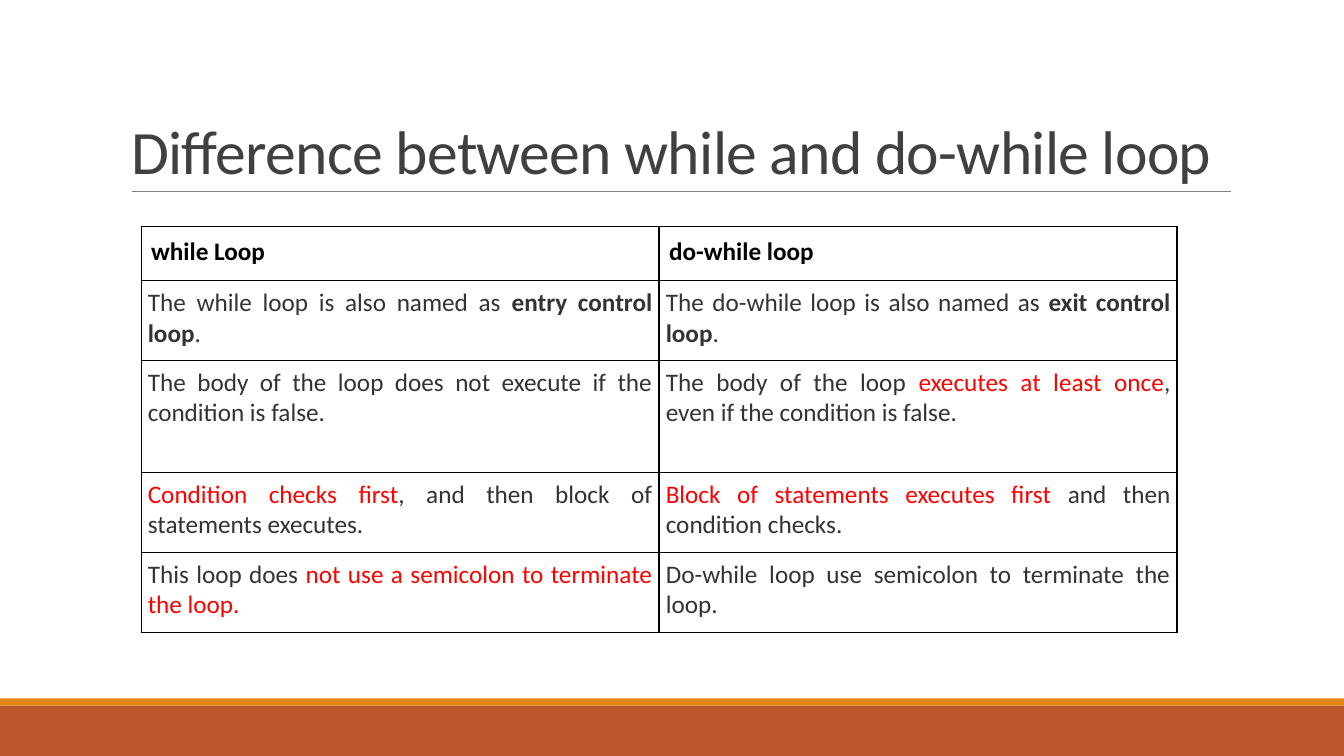
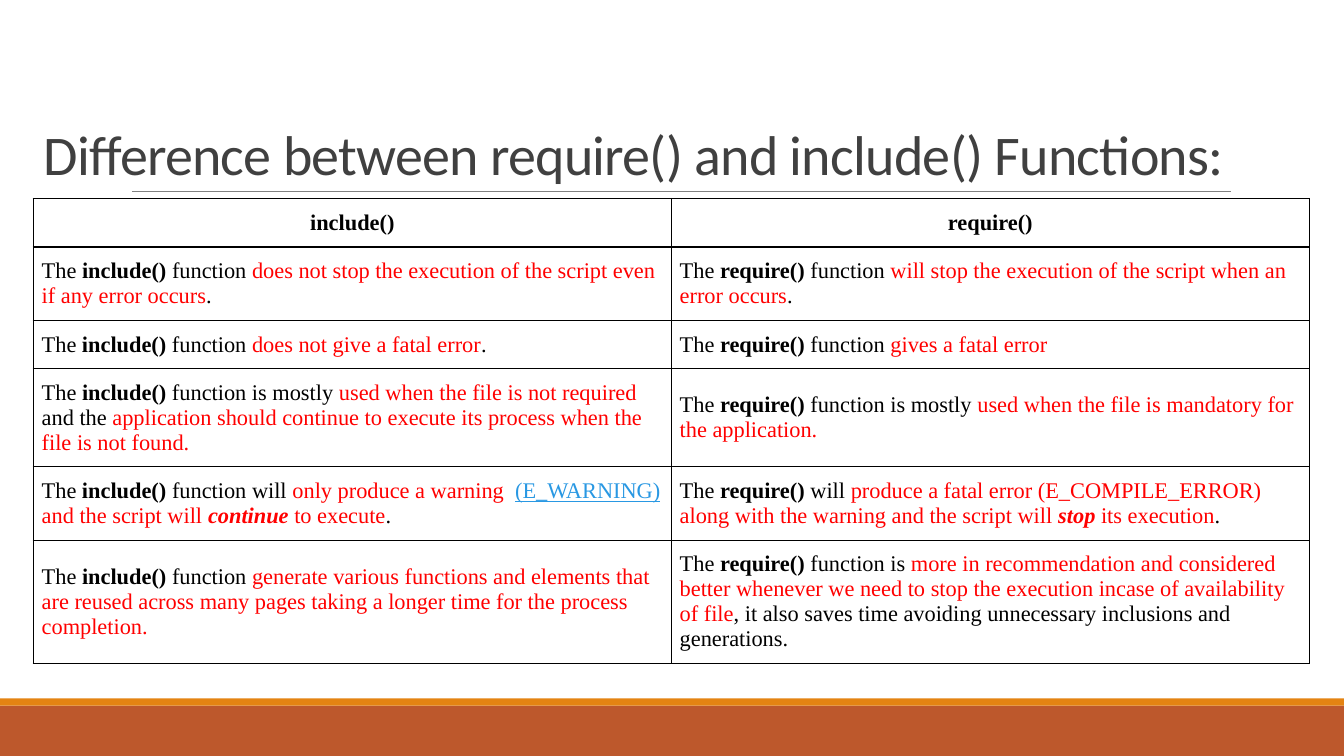
"""Build two slides that compare loop kinds and file inclusion functions."""
from dataclasses import dataclass

from lxml import etree
from pptx import Presentation
from pptx.dml.color import RGBColor
from pptx.enum.shapes import MSO_CONNECTOR, MSO_SHAPE
from pptx.enum.text import MSO_ANCHOR, MSO_AUTO_SIZE, PP_ALIGN
from pptx.oxml.ns import qn
from pptx.slide import Slide
from pptx.table import _Cell
from pptx.util import Pt

LEFT, CENTER, JUSTIFY = PP_ALIGN.LEFT, PP_ALIGN.CENTER, PP_ALIGN.JUSTIFY
TOP, MIDDLE, BOTTOM = MSO_ANCHOR.TOP, MSO_ANCHOR.MIDDLE, MSO_ANCHOR.BOTTOM
NO_AUTOFIT = MSO_AUTO_SIZE.NONE
RECTANGLE = MSO_SHAPE.RECTANGLE
STRAIGHT = MSO_CONNECTOR.STRAIGHT

BLACK = RGBColor(0x00, 0x00, 0x00)
CHARCOAL = RGBColor(0x33, 0x33, 0x33)
TITLE_GRAY = RGBColor(0x40, 0x40, 0x40)
RULE_GRAY = RGBColor(0x80, 0x80, 0x80)
RED = RGBColor(0xFF, 0x00, 0x00)
LINK_BLUE = RGBColor(0x29, 0x98, 0xE3)
RUST = RGBColor(0xBD, 0x58, 0x2C)
ORANGE = RGBColor(0xE4, 0x83, 0x12)

SLIDE_WIDTH, SLIDE_HEIGHT = 960, 540
TITLE_FONT = "Calibri"
TITLE_TOP, TITLE_HEIGHT = 22.5, 114.5
RULE_LEFT, RULE_RIGHT, RULE_TOP = 94.3, 879, 136.8


@dataclass(frozen=True)
class Band:
    """A full-width footer band."""

    top: float
    height: float
    color: RGBColor


@dataclass(frozen=True)
class Span:
    """A piece of cell text with its own emphasis."""

    text: str
    color: RGBColor | None = None
    bold: bool = False
    italic: bool = False
    underline: bool = False


@dataclass(frozen=True)
class CellStyle:
    """The look shared by a group of table cells."""

    font: str
    size: float
    color: RGBColor
    align: PP_ALIGN
    anchor: MSO_ANCHOR
    margin_x: float
    margin_y: float
    bold: bool = False


Content = tuple[Span, ...]


@dataclass(frozen=True)
class Comparison:
    """A titled slide with a two-column comparison table."""

    title: str
    title_size: float
    title_left: float
    title_width: float
    left: float
    top: float
    column_width: float
    row_heights: tuple[float, ...]
    header_style: CellStyle
    body_style: CellStyle
    headers: tuple[str, str]
    rows: tuple[tuple[Content, Content], ...]


def plain(text: str) -> Span:
    """Return text in the cell's own colour."""
    return Span(text)


def bold(text: str) -> Span:
    """Return bold text in the cell's own colour."""
    return Span(text, bold=True)


def red(text: str) -> Span:
    """Return highlighted text."""
    return Span(text, RED)


def stressed(text: str) -> Span:
    """Return highlighted bold italic text."""
    return Span(text, RED, bold=True, italic=True)


BANDS = (Band(504, 36, RUST), Band(498.9, 5.1, ORANGE))

LOOPS = Comparison(
    title="Difference between while and do-while loop",
    title_size=44,
    title_left=86.4,
    title_width=792,
    left=100.8,
    top=161.8,
    column_width=370,
    row_heights=(38.6, 57.1, 80, 57.1, 57.1),
    header_style=CellStyle("Calibri", 18, BLACK, LEFT, TOP, 7.2, 7.2, bold=True),
    body_style=CellStyle("Calibri", 18, CHARCOAL, JUSTIFY, TOP, 4.8, 4.8),
    headers=("while Loop", "do-while loop"),
    rows=(
        (
            (plain("The while loop is also named as "), bold("entry control loop"), plain(".")),
            (plain("The do-while loop is also named as "), bold("exit control loop"), plain(".")),
        ),
        (
            (plain("The body of the loop does not execute if the condition is false."),),
            (
                plain("The body of the loop "),
                red("executes at least once"),
                plain(", even if the condition is false."),
            ),
        ),
        (
            (red("Condition checks first"), plain(", and then block of statements executes.")),
            (red("Block of statements executes first "), plain("and then condition checks.")),
        ),
        (
            (plain("This loop does "), red("not use a semicolon to terminate the loop.")),
            (plain("Do-while loop use semicolon to terminate the loop."),),
        ),
    ),
)

INCLUSION = Comparison(
    title="Difference between require() and include() Functions:",
    title_size=40,
    title_left=23.8,
    title_width=911.5,
    left=23.8,
    top=141.8,
    column_width=455.75,
    row_heights=(34.6, 52.4, 34.6, 70, 52.4, 87.9),
    header_style=CellStyle("Times New Roman", 16, BLACK, CENTER, MIDDLE, 6, 8.4, bold=True),
    body_style=CellStyle("Times New Roman", 16, BLACK, LEFT, MIDDLE, 6, 8.4),
    headers=("include()", "require()"),
    rows=(
        (
            (
                plain("The "), bold("include() "), plain("function "),
                red("does not stop the execution of the script even if any error occurs"),
                plain("."),
            ),
            (
                plain("The "), bold("require() "), plain("function "),
                red("will stop the execution of the script when an error occurs"),
                plain("."),
            ),
        ),
        (
            (
                plain("The"), bold(" include()"), plain(" function "),
                red("does not give a fatal error"), plain("."),
            ),
            (
                plain("The "), bold("require()"), plain(" function "),
                red("gives a fatal error"),
            ),
        ),
        (
            (
                plain("The "), bold("include()"), plain(" function is mostly "),
                red("used when the file is not required "), plain("and the "),
                red("application should continue to execute its process when the file is not found."),
            ),
            (
                plain("The "), bold("require()"), plain(" function is mostly "),
                red("used when the file is mandatory for the application."),
            ),
        ),
        (
            (
                plain("The"), bold(" include() "), plain("function will "),
                red("only produce a warning  "),
                Span("(E_WARNING)", LINK_BLUE, underline=True),
                red(" and the script will "), stressed("continue"), red(" to execute"),
                plain("."),
            ),
            (
                plain("The "), bold("require()"), plain(" will "),
                red("produce a fatal error (E_COMPILE_ERROR) along with the warning and the script will "),
                stressed("stop"), red(" its execution"), plain("."),
            ),
        ),
        (
            (
                plain("The "), bold("include() "), plain("function "),
                red("generate various functions and elements that are reused across many pages "
                    "taking a longer time for the process completion."),
            ),
            (
                plain("The "), bold("require()"), plain(" function is "),
                red("more in recommendation and considered better whenever we need to stop "
                    "the execution incase of availability of file"),
                plain(", it also saves time avoiding unnecessary inclusions and generations."),
            ),
        ),
    ),
)


def draw_frame(slide: Slide) -> None:
    """Draw the footer bands and the rule under the title."""
    for band in BANDS:
        strip = slide.shapes.add_shape(
            RECTANGLE, 0, Pt(band.top), Pt(SLIDE_WIDTH), Pt(band.height))
        strip.shadow.inherit = False
        strip.fill.solid()
        strip.fill.fore_color.rgb = band.color
        strip.line.fill.background()
    rule = slide.shapes.add_connector(
        STRAIGHT, Pt(RULE_LEFT), Pt(RULE_TOP), Pt(RULE_RIGHT), Pt(RULE_TOP))
    rule.line.color.rgb = RULE_GRAY
    rule.line.width = Pt(0.5)
    etree.SubElement(rule.element.spPr, qn("a:effectLst"))


def draw_title(slide: Slide, comparison: Comparison) -> None:
    """Place and format the title placeholder."""
    title = slide.shapes.title
    title.left, title.top = Pt(comparison.title_left), Pt(TITLE_TOP)
    title.width, title.height = Pt(comparison.title_width), Pt(TITLE_HEIGHT)
    frame = title.text_frame
    frame.text = comparison.title
    frame.auto_size = NO_AUTOFIT
    frame.vertical_anchor = BOTTOM
    heading = frame.paragraphs[0]
    heading.alignment = LEFT
    heading.line_spacing = 0.85
    heading.font.name = TITLE_FONT
    heading.font.size = Pt(comparison.title_size)
    heading.font.color.rgb = TITLE_GRAY
    for properties in title.element.iter(qn("a:defRPr")):
        properties.set("spc", "-50")


def fill_cell(cell: _Cell, content: Content, style: CellStyle) -> None:
    """Write the spans into a cell in the given style."""
    cell.fill.background()
    cell.vertical_anchor = style.anchor
    cell.margin_left = cell.margin_right = Pt(style.margin_x)
    cell.margin_top = cell.margin_bottom = Pt(style.margin_y)
    paragraph = cell.text_frame.paragraphs[0]
    paragraph.alignment = style.align
    paragraph.font.name = style.font
    paragraph.font.size = Pt(style.size)
    paragraph.font.color.rgb = style.color
    paragraph.font.bold = style.bold
    for span in content:
        run = paragraph.add_run()
        run.text = span.text
        if span.color is not None:
            run.font.color.rgb = span.color
        if span.bold:
            run.font.bold = True
        if span.italic:
            run.font.italic = True
        if span.underline:
            run.font.underline = True


def draw_table(slide: Slide, comparison: Comparison) -> None:
    """Draw the bordered comparison table."""
    heights = comparison.row_heights
    graphic = slide.shapes.add_table(
        len(heights), 2, Pt(comparison.left), Pt(comparison.top),
        Pt(2 * comparison.column_width), Pt(sum(heights)))
    table = graphic.table
    table.first_row = table.horz_banding = False
    for row, height in zip(table.rows, heights):
        row.height = Pt(height)
    for column, header in enumerate(comparison.headers):
        fill_cell(table.cell(0, column), (plain(header),), comparison.header_style)
        for number, contents in enumerate(comparison.rows, start=1):
            fill_cell(table.cell(number, column), contents[column], comparison.body_style)
    for properties in graphic.element.iter(qn("a:tcPr")):
        for position, side in enumerate(("a:lnL", "a:lnR", "a:lnT", "a:lnB")):
            border = etree.Element(qn(side), w=str(Pt(1)))
            ink = etree.SubElement(border, qn("a:solidFill"))
            etree.SubElement(ink, qn("a:srgbClr"), val=str(BLACK))
            properties.insert(position, border)


def main() -> None:
    """Build and save the presentation."""
    deck = Presentation()
    deck.slide_width, deck.slide_height = Pt(SLIDE_WIDTH), Pt(SLIDE_HEIGHT)
    for comparison in (LOOPS, INCLUSION):
        slide = deck.slides.add_slide(deck.slide_layouts[5])
        draw_frame(slide)
        draw_title(slide, comparison)
        draw_table(slide, comparison)
    deck.save("out.pptx")


if __name__ == "__main__":
    main()
